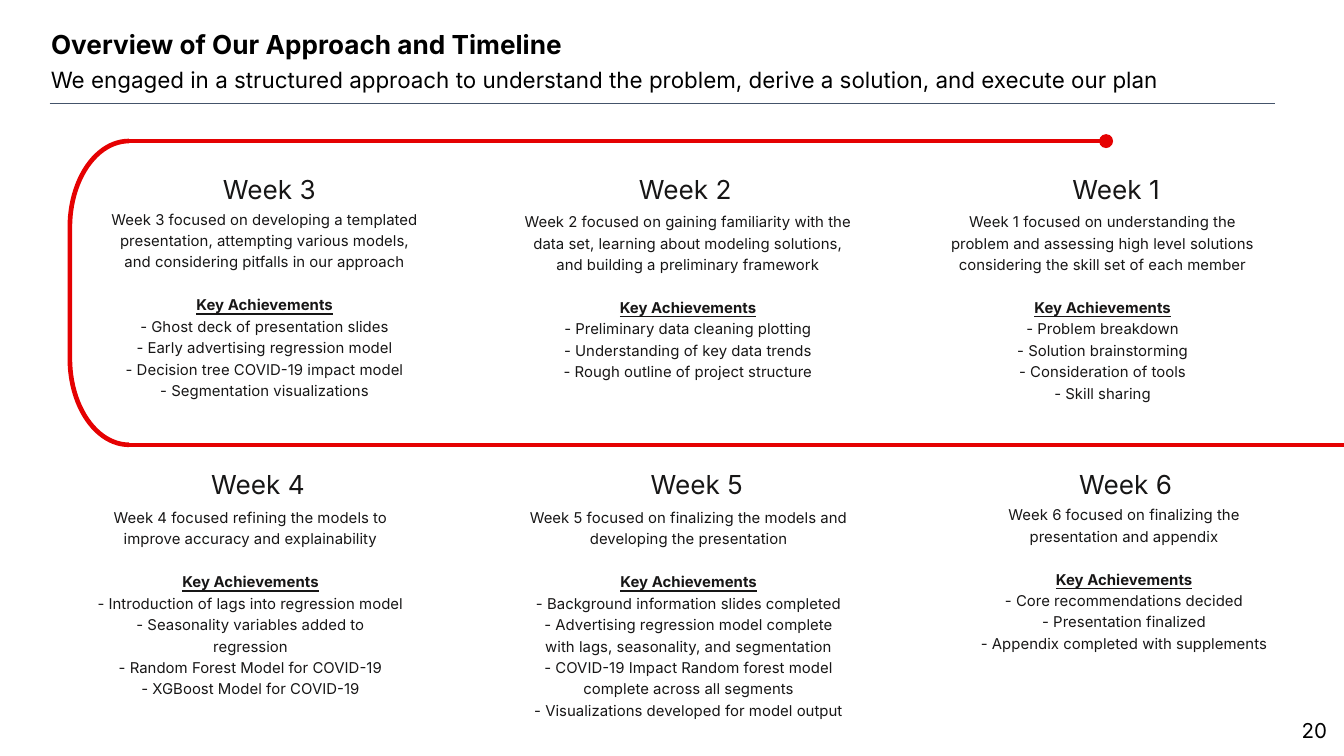
import pptx
import pptx.util
import pptx.dml.color
import pptx.enum.text
import pptx.enum.shapes
import pptx.oxml

Inches, Pt = pptx.util.Inches, pptx.util.Pt
Align, Anchor = pptx.enum.text.PP_ALIGN, pptx.enum.text.MSO_ANCHOR
Fit = pptx.enum.text.MSO_AUTO_SIZE
Kind = pptx.enum.shapes

# Content
TITLE = "Overview of Our Approach and Timeline"
LEAD = ("We engaged in a structured approach to understand the problem, "
        "derive a solution, and execute our plan")
PAGE = "20"
LABEL = "Key Achievements"
RED, INK, BLACK, SLATE = "E50102", "171616", "000000", "44546A"
HEAD_TOP = (1.25, 3.45)

# Each week: number, row, heading (left, width), body box, summary, achievements
WEEKS = [
    (3, 0, (1.48, 1.05), (0.73, 1.5, 2.48, 1.66),
     "Week 3 focused on developing a templated presentation, attempting "
     "various models, and considering pitfalls in our approach",
     ["Ghost deck of presentation slides",
      "Early advertising regression model",
      "Decision tree COVID-19 impact model",
      "Segmentation visualizations"]),
    (2, 0, (4.62, 0.96), (3.82, 1.52, 2.6, 1.34),
     "Week 2 focused on gaining familiarity with the data set, learning "
     "about modeling solutions, and building a preliminary framework",
     ["Preliminary data cleaning plotting",
      "Understanding of key data trends",
      "Rough outline of project structure"]),
    (1, 0, (7.81, 0.99), (6.99, 1.52, 2.43, 1.5),
     "Week 1 focused on understanding the problem and assessing high level "
     "solutions considering the skill set of each member",
     ["Problem breakdown", "Solution brainstorming",
      "Consideration of tools", "Skill sharing"]),
    (4, 1, (1.39, 1.06), (0.65, 3.72, 2.43, 1.34),
     "Week 4 focused refining the models to improve accuracy and "
     "explainability",
     ["Introduction of lags into regression model",
      "Seasonality variables added to regression",
      "Random Forest Model for COVID-19",
      "XGBoost Model for COVID-19"]),
    (5, 1, (4.69, 0.99), (3.86, 3.72, 2.53, 1.66),
     "Week 5 focused on finalizing the models and developing the "
     "presentation",
     ["Background information slides completed",
      "Advertising regression model complete with lags, seasonality, "
      "and segmentation",
      "COVID-19 Impact Random forest model complete across all segments",
      "Visualizations developed for model output"]),
    (6, 1, (7.82, 1.11), (7.15, 3.7, 2.43, 1.18),
     "Week 6 focused on finalizing the presentation and appendix",
     ["Core recommendations decided", "Presentation finalized",
      "Appendix completed with supplements"]),
]

# Widescreen slide, 16:9
deck = pptx.Presentation()
deck.slide_width, deck.slide_height = Inches(10), Inches(10) * 9 // 16
slide = deck.slides.add_slide(deck.slide_layouts[5])


def color(code):
    return pptx.dml.color.RGBColor.from_string(code)


def write(box, text, size=8, ink=INK, bold=False, under=False,
          align=Align.CENTER, space=1.0, before=0):
    """Add one paragraph to a shape, using its first one if still empty."""
    frame = box.text_frame
    para = frame.paragraphs[0] if not frame.text else frame.add_paragraph()
    para.alignment, para.line_spacing = align, space
    para.space_before = Pt(before)
    run = para.add_run()
    run.text = text
    font = run.font
    font.name, font.size = "Inter", Pt(size)
    font.bold, font.underline = bold, under
    font.color.rgb = color(ink)


def place(left, top, width, height, box=None, pad=(5.4, 2.7),
          anchor=Anchor.TOP):
    """Position a text box or placeholder; pad is in points."""
    box = box or slide.shapes.add_textbox(0, 0, 0, 0)
    box.left, box.top = Inches(left), Inches(top)
    box.width, box.height = Inches(width), Inches(height)
    frame = box.text_frame
    frame.word_wrap, frame.auto_size = True, Fit.NONE
    frame.vertical_anchor = anchor
    frame.margin_left = frame.margin_right = Pt(pad[0])
    frame.margin_top = frame.margin_bottom = Pt(pad[1])
    return box


def rule(x1, x2, y, ink, weight, dot=False):
    line = slide.shapes.add_connector(
        Kind.MSO_CONNECTOR.STRAIGHT,
        Inches(x1), Inches(y), Inches(x2), Inches(y))
    line.line.color.rgb, line.line.width = color(ink), Pt(weight)
    space = 'xmlns:a="http://schemas.openxmlformats.org/drawingml/2006/main"'
    if dot:
        line.line._get_or_add_ln().append(
            pptx.oxml.parse_xml(f'<a:headEnd {space} type="oval"/>'))
    line._element.spPr.append(pptx.oxml.parse_xml(f"<a:effectLst {space}/>"))


# Timeline track
rule(8.23, 0.94, 1.05, RED, 2.5, dot=True)
rule(10, 0.94, 3.31, RED, 2.5)
bend = slide.shapes.add_shape(
    Kind.MSO_SHAPE.LEFT_BRACKET,
    Inches(0.52), Inches(1.05), Inches(0.44), Inches(2.26))
bend.adjustments[0] = 1.455
bend.shadow.inherit = False
bend.fill.background()
bend.line.color.rgb, bend.line.width = color(RED), Pt(2.5)

# Weeks
for num, row, (left, width), area, about, wins in WEEKS:
    write(place(left, HEAD_TOP[row], width, 0.31), f"Week {num}", size=14)
    body = place(*area)
    write(body, about, space=1.2)
    write(body, LABEL, bold=True, under=True, space=1.2, before=11.5)
    for win in wins:
        write(body, f"- {win}", space=1.2)

# Page number
write(place(9.35, 5.13, 0.6, 0.43, anchor=Anchor.BOTTOM), PAGE,
      size=11, ink=BLACK, align=Align.RIGHT)

# Title, lead and rule
write(place(0.28, 0.11, 9.15, 0.44, box=slide.shapes.title, pad=(7.2, 7.2)),
      TITLE, size=14, ink=BLACK, bold=True, align=Align.LEFT)
write(place(0.28, 0.39, 9.22, 0.4, pad=(7.2, 7.2)), LEAD,
      size=12, ink=BLACK, align=Align.LEFT)
rule(0.37, 9.49, 0.77, SLATE, 0.75)

deck.save("out.pptx")
